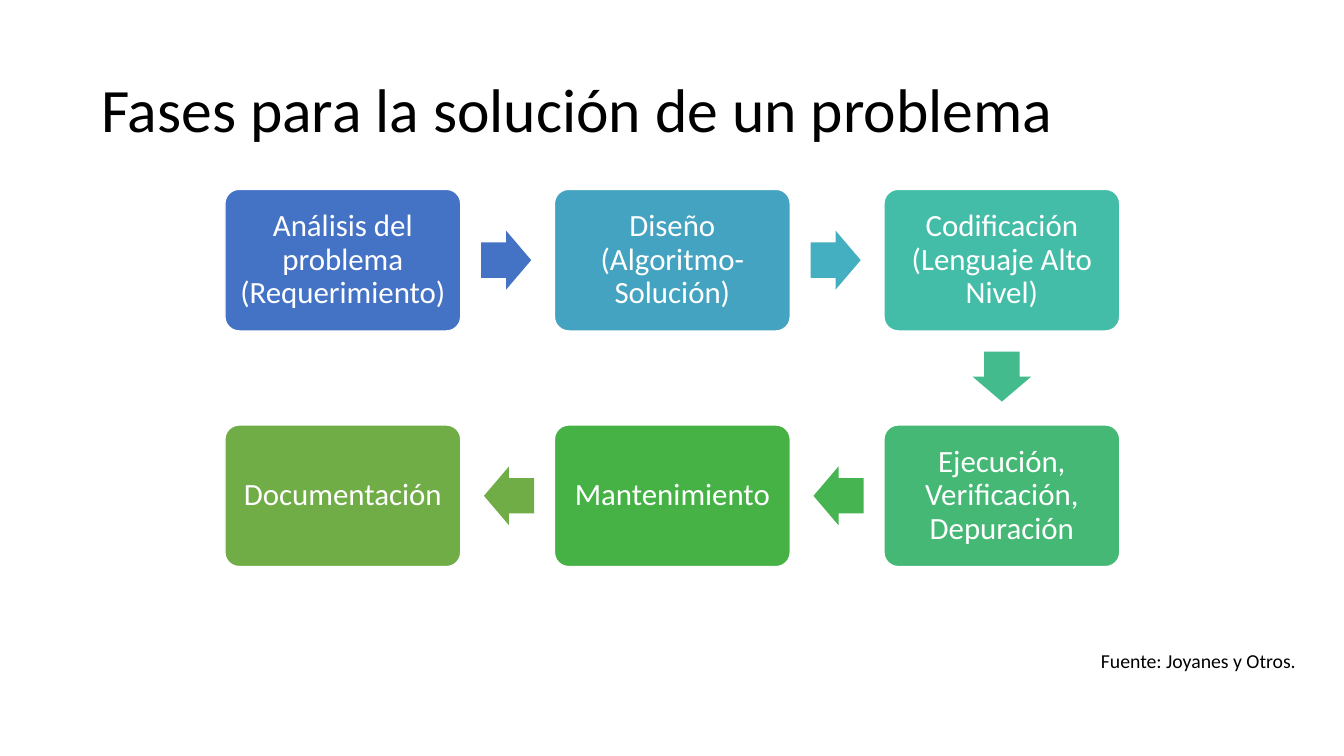
import math

import pptx
import pptx.dml.color
import pptx.enum.shapes
import pptx.enum.text
import pptx.util

Cm = pptx.util.Cm
RGBColor = pptx.dml.color.RGBColor
SHAPE = pptx.enum.shapes.MSO_SHAPE
ALIGN = pptx.enum.text.PP_ALIGN
ANCHOR = pptx.enum.text.MSO_ANCHOR

BLACK = RGBColor(0x00, 0x00, 0x00)
WHITE = RGBColor(0xFF, 0xFF, 0xFF)
BLUE = RGBColor(0x44, 0x72, 0xC4)
SKY = RGBColor(0x44, 0xA3, 0xC0)
CYAN = RGBColor(0x43, 0xAF, 0xC0)
TURQUOISE = RGBColor(0x43, 0xBD, 0xA7)
SEA_GREEN = RGBColor(0x43, 0xBB, 0x8D)
JADE = RGBColor(0x44, 0xB8, 0x74)
EMERALD = RGBColor(0x45, 0xB4, 0x51)
GREEN = RGBColor(0x46, 0xB2, 0x46)
OLIVE = RGBColor(0x70, 0xAD, 0x47)

# label, column, row, box colour, colour of the arrow leading to the box
PHASES = [
    ("Análisis del problema (Requerimiento)", 0, 0, BLUE, None),
    ("Diseño (Algoritmo-Solución)", 1, 0, SKY, BLUE),
    ("Codificación (Lenguaje Alto Nivel)", 2, 0, TURQUOISE, CYAN),
    ("Ejecución, Verificación, Depuración", 2, 1, JADE, SEA_GREEN),
    ("Mantenimiento", 1, 1, GREEN, EMERALD),
    ("Documentación", 0, 1, OLIVE, OLIVE),
]

# Centimetres
FIRST_CENTER = (9.79, 7.43)
PITCH = (9.41, 6.73)
BOX_SIZE = (6.73, 4.04)
ARROW_SIZE = (1.43, 1.68)
ARROW_LAG = 0.04


def set_attributes(target, values):
    for name, value in values.items():
        setattr(target, name, value)


class PhaseSlide:
    font_name = "Calibri"

    def __init__(self, slide):
        self.slide = slide

    def fill_text(self, shape, text, size, color, frame_format, paragraph_format):
        frame = shape.text_frame
        set_attributes(frame, frame_format)
        paragraph = frame.paragraphs[0]
        paragraph.text = text
        set_attributes(paragraph, paragraph_format)
        font = paragraph.runs[0].font
        set_attributes(font, {"name": self.font_name, "size": pptx.util.Pt(size)})
        font.color.rgb = color

    def text(self, text, left, top, width, height, size, wrap=True, **paragraph_format):
        box = self.slide.shapes.add_textbox(Cm(left), Cm(top), Cm(width), Cm(height))
        frame_format = {"word_wrap": wrap, "vertical_anchor": ANCHOR.MIDDLE}
        self.fill_text(box, text, size, BLACK, frame_format, paragraph_format)

    def centered_shape(self, kind, center, size, color, adjustments):
        left, top = (middle - length / 2 for middle, length in zip(center, size))
        shape = self.slide.shapes.add_shape(kind, Cm(left), Cm(top), Cm(size[0]), Cm(size[1]))
        shape.shadow.inherit = False
        shape.fill.solid()
        shape.fill.fore_color.rgb = color
        for index, value in enumerate(adjustments):
            shape.adjustments[index] = value
        return shape

    def phase(self, label, center, color):
        box = self.centered_shape(SHAPE.ROUNDED_RECTANGLE, center, BOX_SIZE, color, [0.1])
        box.line.color.rgb = WHITE
        box.line.width = pptx.util.Pt(1)
        sides = ("left", "top", "right", "bottom")
        frame_format = {f"margin_{side}": Cm(0.25) for side in sides}
        frame_format.update(word_wrap=True, vertical_anchor=ANCHOR.MIDDLE)
        paragraph_format = {"alignment": ALIGN.CENTER, "line_spacing": 0.9}
        self.fill_text(box, label, 25, WHITE, frame_format, paragraph_format)

    def arrow(self, start, end, color):
        """Point from one box centre to the next, just short of midway."""
        angle = math.atan2(end[1] - start[1], end[0] - start[0])
        center = (
            (start[0] + end[0]) / 2 - ARROW_LAG * math.cos(angle),
            (start[1] + end[1]) / 2 - ARROW_LAG * math.sin(angle),
        )
        arrow = self.centered_shape(SHAPE.RIGHT_ARROW, center, ARROW_SIZE, color, [0.6, 0.5])
        arrow.line.fill.background()
        arrow.rotation = math.degrees(angle)


def main():
    presentation = pptx.Presentation()
    set_attributes(presentation, {"slide_width": Cm(38.38), "slide_height": Cm(21.59)})
    page = PhaseSlide(presentation.slides.add_slide(presentation.slide_layouts[6]))

    page.text("Fases para la solución de un problema", 2.64, 1.14, 33.1, 4.17, 49.9,
              line_spacing=0.9)
    previous = None
    for label, column, row, color, arrow_color in PHASES:
        center = (FIRST_CENTER[0] + column * PITCH[0], FIRST_CENTER[1] + row * PITCH[1])
        if previous:
            page.arrow(previous, center, arrow_color)
        page.phase(label, center, color)
        previous = center
    page.text("Fuente: Joyanes y Otros.", 31.19, 18.39, 6.3, 0.94, 16, wrap=False)

    presentation.save("out.pptx")


if __name__ == "__main__":
    main()
